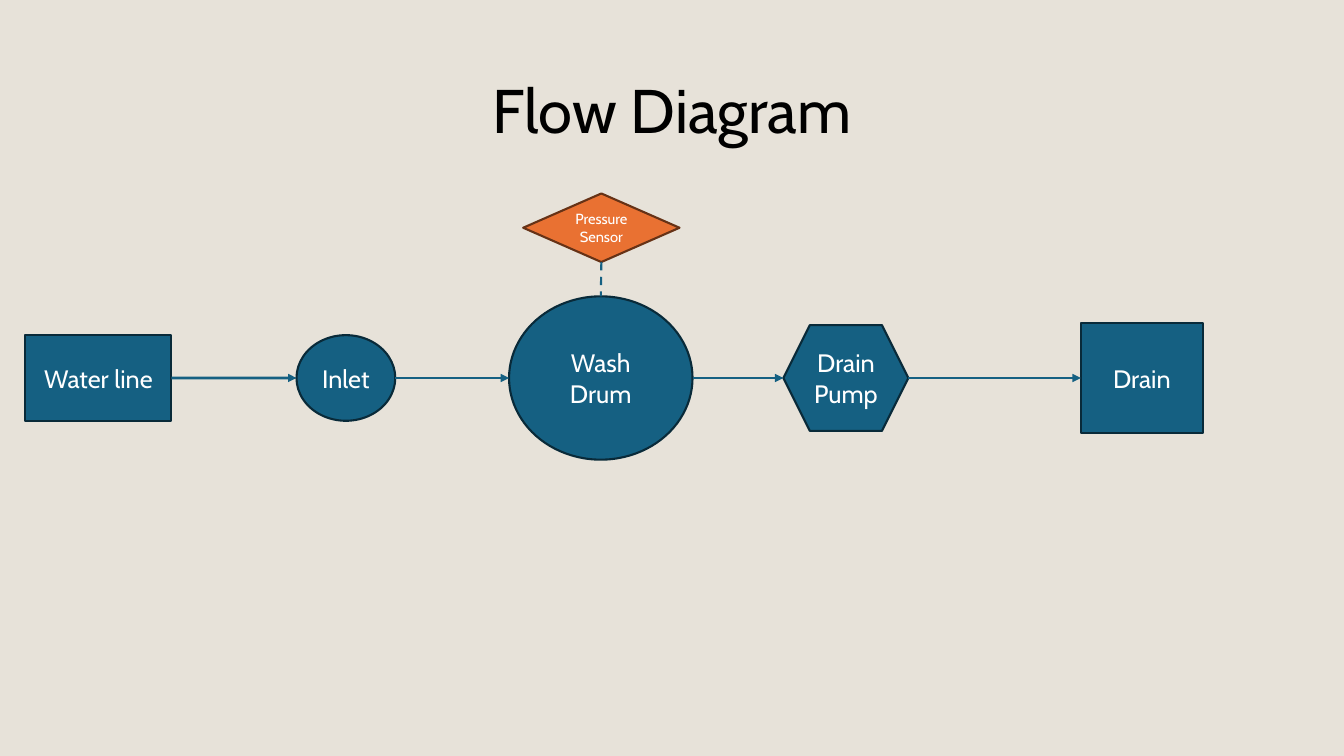
from dataclasses import dataclass
from itertools import pairwise

from lxml.etree import SubElement
from pptx import Presentation
from pptx.dml.color import RGBColor as RGB
from pptx.enum.dml import MSO_LINE as Dash
from pptx.enum.shapes import MSO_CONNECTOR as Link, MSO_SHAPE as Kind
from pptx.enum.text import MSO_ANCHOR as Anchor, PP_ALIGN as Align
from pptx.oxml.ns import qn
from pptx.shapes.autoshape import Shape
from pptx.shapes.connector import Connector
from pptx.slide import Slide
from pptx.util import Inches, Pt


@dataclass(frozen=True)
class Theme:
    font: str = "Cabin"
    back: RGB = RGB.from_string("E7E2D9")
    ink: RGB = RGB.from_string("000000")
    white: RGB = RGB.from_string("FFFFFF")
    blue: RGB = RGB.from_string("156082")
    navy: RGB = RGB.from_string("092A39")
    orange: RGB = RGB.from_string("E97132")
    brown: RGB = RGB.from_string("663216")
    head: float = 44
    body: float = 18
    small: float = 10.5
    edge: float = 1.5
    flow: float = 2


@dataclass(frozen=True)
class Node:
    """A shape on a grid of 100 columns by 100 rows, centred on a row."""
    text: str
    kind: Kind
    left: float
    width: float
    height: float
    fill: RGB
    edge: RGB
    size: float
    row: float = 50


T = Theme()
WIDE, HIGH = Inches(13.33), Inches(7.5)
SIDES = {"right": 3, "left": 1}

STEPS = [
    Node(text, kind, left, width, height, T.blue, T.navy, T.body)
    for text, kind, left, width, height in (
        ("Water line", Kind.RECTANGLE, 1.88, 10.88, 11.33),
        ("Inlet", Kind.OVAL, 22.06, 7.35, 11.33),
        ("Wash Drum", Kind.OVAL, 37.88, 13.65, 21.6),
        ("Drain Pump", Kind.HEXAGON, 58.29, 9.3, 14),
        ("Drain", Kind.RECTANGLE, 80.42, 9.08, 14.67),
    )
]
SENSOR = Node("Pressure Sensor", Kind.DIAMOND, 38.93, 11.63, 9.07,
              T.orange, T.brown, T.small, row=30.13)


def col(n: float) -> int:
    return round(WIDE * n / 100)


def row(n: float) -> int:
    return round(HIGH * n / 100)


def style(shape: Shape, size: float, color: RGB) -> None:
    frame = shape.text_frame
    frame.word_wrap = True
    frame.vertical_anchor = Anchor.MIDDLE
    para = frame.paragraphs[0]
    para.alignment = Align.CENTER
    para.font.name = T.font
    para.font.size = Pt(size)
    para.font.color.rgb = color


def draw(slide: Slide, node: Node) -> Shape:
    shape = slide.shapes.add_shape(
        node.kind, col(node.left), row(node.row - node.height / 2),
        col(node.width), row(node.height))
    shape.shadow.inherit = False
    shape.fill.solid()
    shape.fill.fore_color.rgb = node.fill
    shape.line.color.rgb = node.edge
    shape.line.width = Pt(T.edge)
    shape.text_frame.text = node.text
    style(shape, node.size, T.white)
    return shape


def join(slide: Slide, start: tuple[int, int], end: tuple[int, int],
         width: float) -> Connector:
    line = slide.shapes.add_connector(Link.STRAIGHT, *start, *end)
    line.line.color.rgb = T.blue
    line.line.width = Pt(width)
    SubElement(line._element.spPr, qn("a:effectLst"))
    return line


def flow(slide: Slide, first: Shape, last: Shape) -> None:
    mid = row(50)
    line = join(slide, (first.left + first.width, mid), (last.left, mid), T.flow)
    SubElement(line.line._get_or_add_ln(), qn("a:tailEnd"), type="triangle")
    if first.auto_shape_type == Kind.RECTANGLE:
        line.begin_connect(first, SIDES["right"])
    if last.auto_shape_type == Kind.RECTANGLE:
        line.end_connect(last, SIDES["left"])


def main() -> None:
    deck = Presentation()
    deck.slide_width, deck.slide_height = WIDE, HIGH
    slide = deck.slides.add_slide(deck.slide_layouts[5])
    slide.background.fill.solid()
    slide.background.fill.fore_color.rgb = T.back

    # Title
    title = slide.shapes.title
    title.left, title.top = col(6.88), row(5.33)
    title.width, title.height = col(86.25), row(19.33)
    title.text_frame.text = "Flow Diagram"
    title.text_frame.paragraphs[0].line_spacing = 0.9
    style(title, T.head, T.ink)

    # Water path
    shapes = [draw(slide, step) for step in STEPS]
    for first, last in pairwise(shapes):
        flow(slide, first, last)

    # Sensor above the drum
    drum = shapes[2]
    probe = draw(slide, SENSOR)
    link = join(slide,
                (probe.left + probe.width // 2, probe.top + probe.height),
                (drum.left + drum.width // 2, drum.top), T.edge)
    link.line.dash_style = Dash.DASH

    deck.save("out.pptx")


if __name__ == "__main__":
    main()
